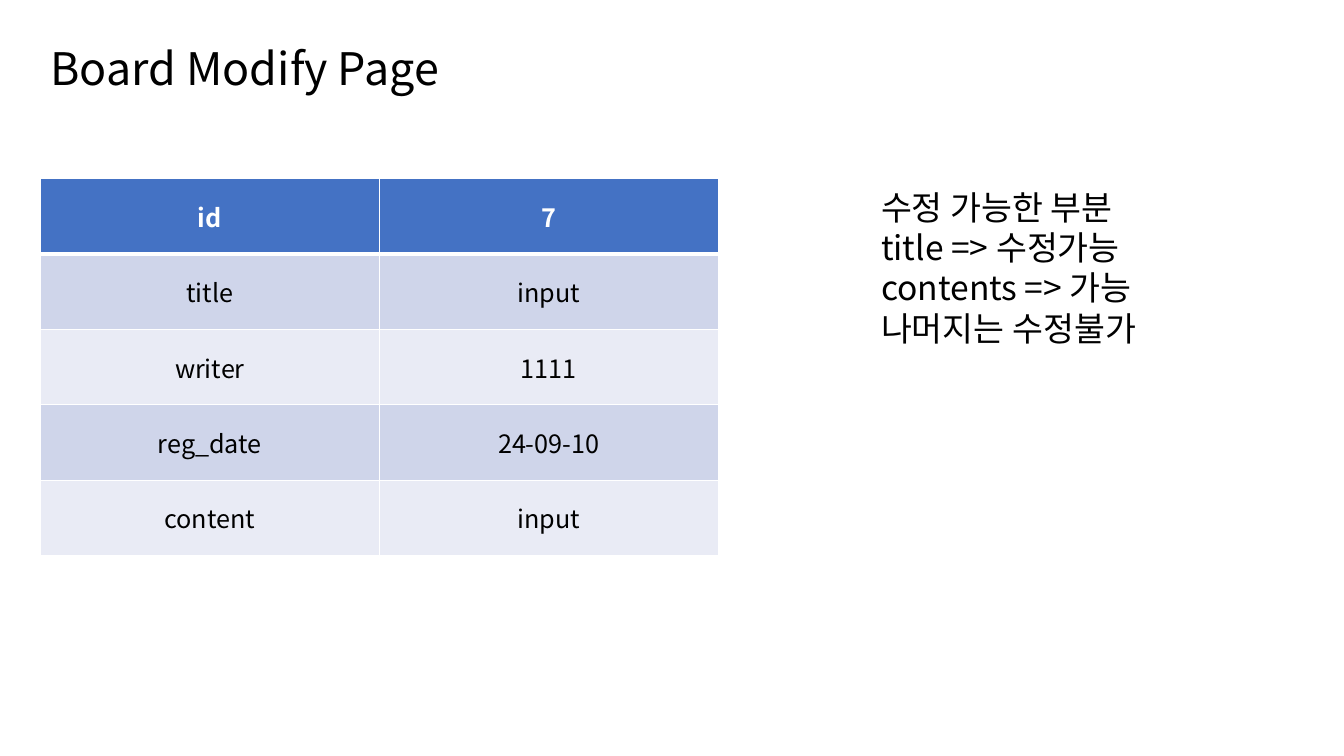
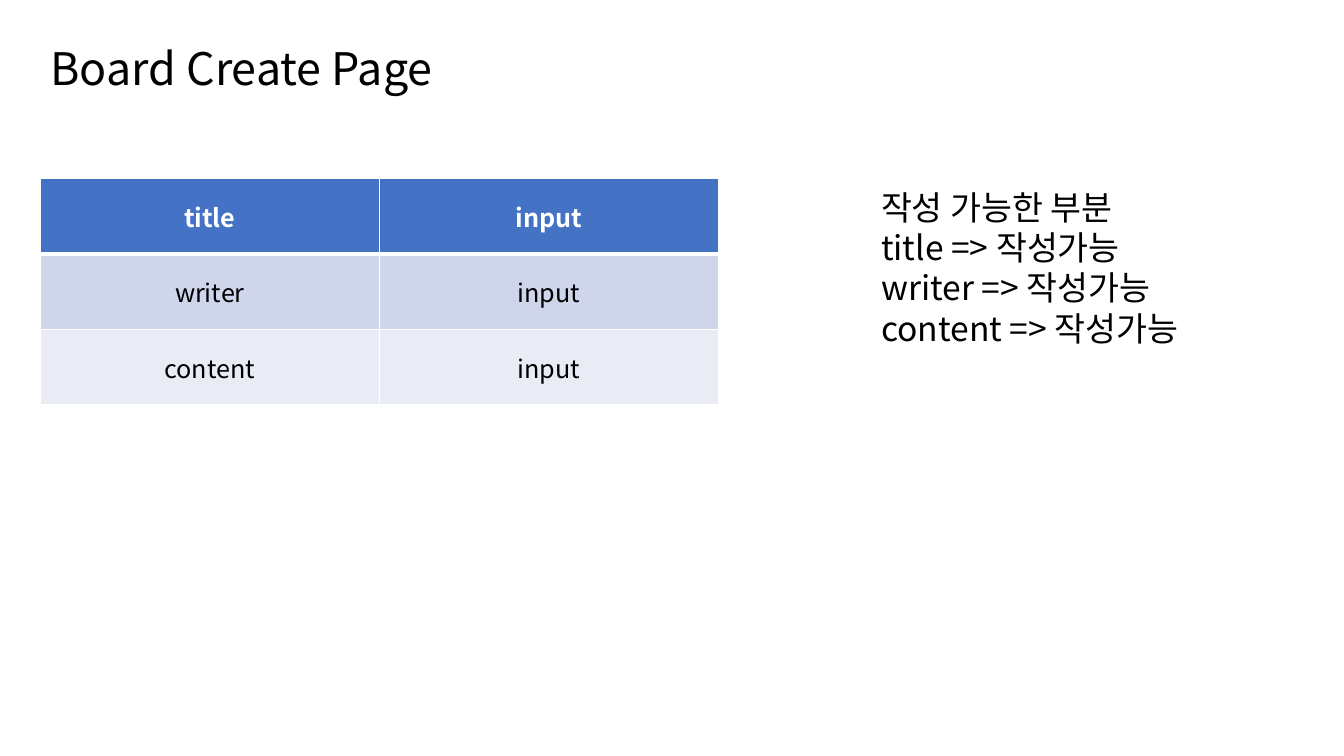
from lxml.etree import SubElement
from pptx import Presentation
from pptx.dml.color import RGBColor
from pptx.enum.text import MSO_ANCHOR, MSO_AUTO_SIZE, PP_ALIGN
from pptx.oxml import parse_xml
from pptx.oxml.ns import nsdecls, qn
from pptx.util import Cm, Pt

# Content
PAGES = [
    {
        "title": "Board Modify Page",
        "fields": [("id", "7"), ("title", "input"), ("writer", "1111"),
                   ("reg_date", "24-09-10"), ("content", "input")],
        "rules": ["수정 가능한 부분", "title => 수정가능",
                  "contents => 가능", "나머지는 수정불가"],
    },
    {
        "title": "Board Create Page",
        "fields": [("title", "input"), ("writer", "input"), ("content", "input")],
        "rules": ["작성 가능한 부분", "title => 작성가능",
                  "writer => 작성가능", "content => 작성가능"],
    },
]

# Shared style
FONT = "Noto Sans CJK KR"
BLACK, WHITE, HEADER = "000000", "FFFFFF", "4472C4"
BANDS = ["CFD5EA", "E9EBF5"]
LINE_FACTOR = 1.2

# Shared layout, in centimetres
LEFT, CONTENT_TOP = 1.02, 4.5
TITLE_BOX = (LEFT, 0.79, 14.4, 1.63)
RULES_BOX = (21.95, CONTENT_TOP, 9.35, 4.37)
COLUMN_WIDTH, ROW_HEIGHT = 8.54, 1.9


def color(value):
    return RGBColor.from_string(value)


def style_paragraph(paragraph, size, text_color, bold=False):
    font = paragraph.font
    font.size, font.bold = Pt(size), bold
    font.color.rgb = color(text_color)
    font.name = FONT
    latin = paragraph._p.pPr.find(qn("a:defRPr")).find(qn("a:latin"))
    latin.addnext(parse_xml(f'<a:ea {nsdecls("a")} typeface="{FONT}"/>'))


def fill_placeholder(shape, box, lines, size, top_inset):
    shape.left, shape.top, shape.width, shape.height = map(Cm, box)
    frame = shape.text_frame
    frame.text = "\n".join(lines)
    frame.auto_size = MSO_AUTO_SIZE.NONE
    frame.word_wrap = True
    frame.vertical_anchor = MSO_ANCHOR.TOP
    frame.margin_top = Cm(top_inset)
    for paragraph in frame.paragraphs:
        paragraph.alignment = PP_ALIGN.LEFT
        paragraph.space_before = Pt(0)
        paragraph.line_spacing = Pt(size * LINE_FACTOR)
        properties = paragraph._p.get_or_add_pPr()
        properties.set("marL", "0")
        properties.set("indent", "0")
        SubElement(properties, qn("a:buNone"))
        style_paragraph(paragraph, size, BLACK)


def set_borders(cell, widths):
    """Widths in points, in the order left, right, top, bottom."""
    properties = cell._tc.get_or_add_tcPr()
    for position, (side, width) in enumerate(zip("LRTB", widths)):
        properties.insert(position, parse_xml(
            f'<a:ln{side} {nsdecls("a")} w="{Pt(width)}"><a:solidFill>'
            f'<a:srgbClr val="{WHITE}"/></a:solidFill></a:ln{side}>'))


def add_field_table(slide, fields):
    columns = len(fields[0])
    table = slide.shapes.add_table(
        len(fields), columns, Cm(LEFT), Cm(CONTENT_TOP),
        Cm(COLUMN_WIDTH * columns), Cm(ROW_HEIGHT * len(fields))).table
    table.horz_banding = False
    for row, values in enumerate(fields):
        is_header = row == 0
        for column, value in enumerate(values):
            cell = table.cell(row, column)
            cell.text = value
            cell.vertical_anchor = MSO_ANCHOR.MIDDLE
            cell.fill.solid()
            cell.fill.fore_color.rgb = color(
                HEADER if is_header else BANDS[(row - 1) % 2])
            set_borders(cell, (1, 1, 3 if row == 1 else 1, 3 if is_header else 1))
            paragraph = cell.text_frame.paragraphs[0]
            paragraph.alignment = PP_ALIGN.CENTER
            style_paragraph(paragraph, 18, WHITE if is_header else BLACK, is_header)


def main():
    presentation = Presentation()
    presentation.slide_width, presentation.slide_height = Cm(33.87), Cm(19.05)
    layout = presentation.slide_layouts[1]
    for page in PAGES:
        slide = presentation.slides.add_slide(layout)
        fill_placeholder(slide.shapes.title, TITLE_BOX, [page["title"]], 32, 0.23)
        add_field_table(slide, page["fields"])
        fill_placeholder(slide.placeholders[1], RULES_BOX, page["rules"], 24, 0.2)
    presentation.save("out.pptx")


if __name__ == "__main__":
    main()
